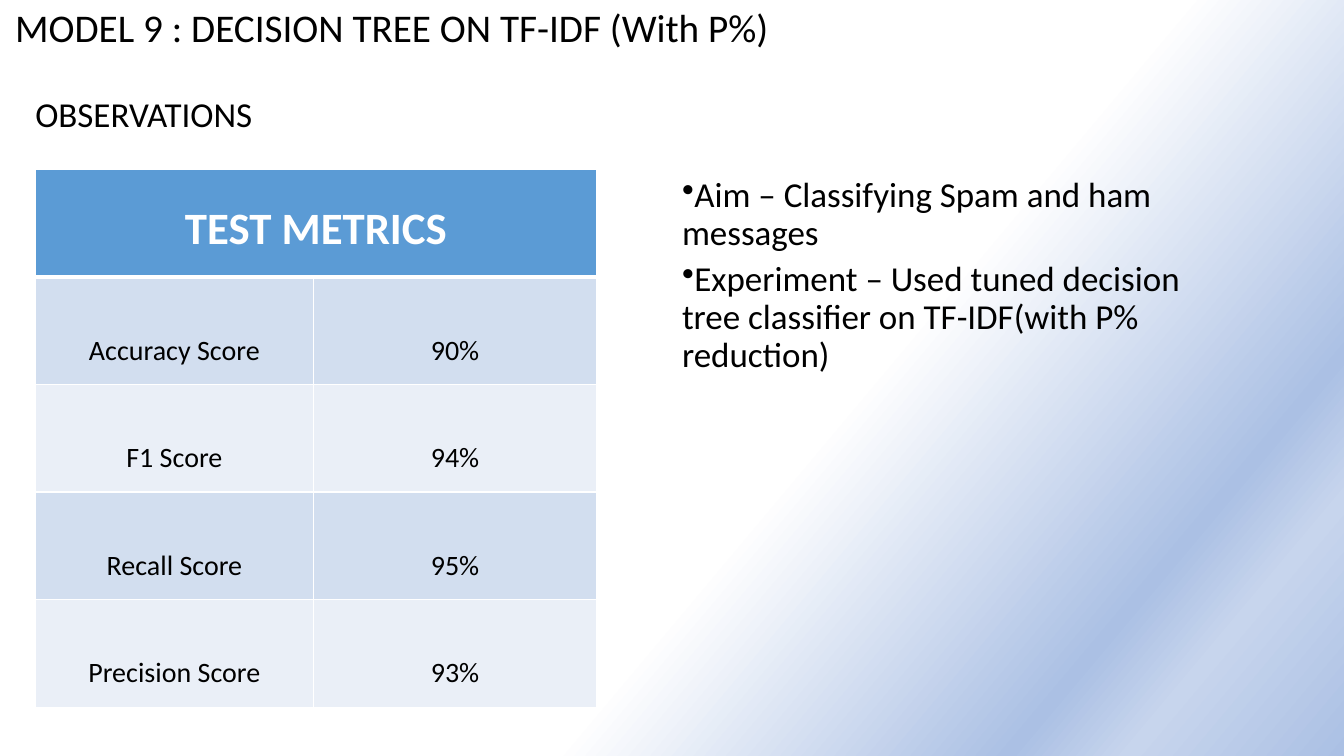
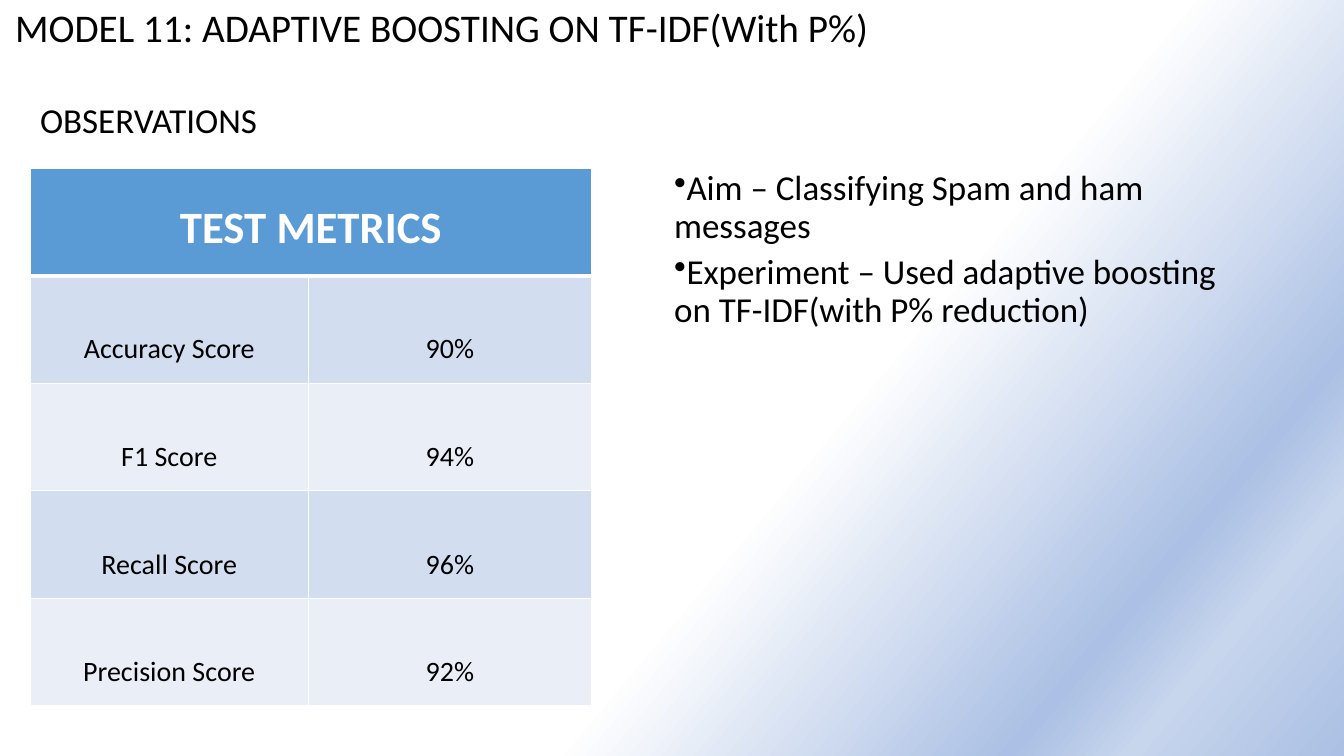
"""Build two slides reporting the test metrics of spam classifiers."""
from dataclasses import dataclass

from lxml.etree import SubElement
from pptx import Presentation
from pptx.dml.color import RGBColor
from pptx.enum.text import MSO_ANCHOR as Anchor, MSO_AUTO_SIZE as AutoSize, PP_ALIGN as Align
from pptx.oxml.ns import qn
from pptx.util import Cm, Pt

METRICS = ("Accuracy Score", "F1 Score", "Recall Score", "Precision Score")
AIM = "Aim – Classifying Spam and ham messages"

SLIDES = [
    {
        "title": "MODEL 9 : DECISION TREE ON TF-IDF (With P%)",
        "scores": ("90%", "94%", "95%", "93%"),
        "notes": [AIM, "Experiment – Used tuned decision tree classifier on TF-IDF(with P% reduction)"],
        "heading_at": (0.64, 1.96),
        "table_at": (0.89, 4.27),
        "notes_at": (16.94, 2.92),
    },
    {
        "title": "MODEL 11: ADAPTIVE BOOSTING ON TF-IDF(With P%)",
        "scores": ("90%", "94%", "96%", "92%"),
        "notes": [AIM, "Experiment – Used adaptive boosting on TF-IDF(with P% reduction)"],
        "heading_at": (0.76, 2.11),
        "table_at": (0.76, 4.24),
        "notes_at": (16.74, 2.26),
    },
]

SLIDE_SIZE = (33.87, 19.05)
TITLE_BOX = (0.13, 0.1, 33.65, 1.5)
HEADING_SIZE = (7.11, 1.93)
NOTES_SIZE = (14.45, 8.08)
COLUMN_WIDTHS = (7.01, 7.14)
ROW_HEIGHT = 2.71


@dataclass(frozen=True)
class Theme:
    """Hold the colours, font and type sizes."""
    font: str = "Calibri"
    text: str = "000000"
    light: str = "FFFFFF"
    header: str = "5B9BD5"
    bands: tuple = ("D2DEEF", "EAEFF7")
    gradient: tuple = ((60, "FFFFFF"), (83, "ABC0E4"), (89, "C7D5ED"), (100, "ABC0E4"))
    gradient_angle: int = 40
    title_size: int = 28
    body_size: int = 25
    header_size: int = 32
    cell_size: int = 20
    border: int = 1
    header_border: int = 3


THEME = Theme()


def write(frame, lines, *, size, color=THEME.text, bold=False, align=Align.LEFT,
          spacing=0.9, after=0, anchor=Anchor.TOP, bullet=None):
    """Fill a text frame with formatted paragraphs."""
    frame.word_wrap = True
    frame.vertical_anchor = anchor
    for index, line in enumerate(lines):
        paragraph = frame.add_paragraph() if index else frame.paragraphs[0]
        paragraph.alignment = align
        paragraph.line_spacing = spacing
        paragraph.space_before = Pt(0)
        paragraph.space_after = Pt(after)
        if bullet:
            properties = paragraph._p.get_or_add_pPr()
            properties.set("marL", "0")
            properties.set("indent", str(-Cm(0.64)))
            SubElement(properties, qn("a:buChar"), char=bullet)
        run = paragraph.add_run()
        run.text = line
        font = run.font
        font.name, font.size, font.bold = THEME.font, Pt(size), bold
        font.color.rgb = RGBColor.from_string(color)


def paint_background(master):
    """Give the slide master the diagonal gradient."""
    fill = master.background.fill
    fill.gradient()
    fill.gradient_angle = 360 - THEME.gradient_angle
    stops = next(master.element.iter(qn("a:gsLst")))
    for stop in list(stops):
        stops.remove(stop)
    for position, color in THEME.gradient:
        stop = SubElement(stops, qn("a:gs"), pos=str(position * 1000))
        SubElement(stop, qn("a:srgbClr"), val=color)


def add_text(slide, position, extent, lines, **text_format):
    """Add a text box at a position."""
    box = slide.shapes.add_textbox(*map(Cm, position + extent))
    write(box.text_frame, lines, **text_format)


def style_cell(cell, fill, top, bottom):
    """Set the borders and fill of a table cell."""
    properties = cell._tc.get_or_add_tcPr()
    widths = {"L": THEME.border, "R": THEME.border, "T": top, "B": bottom}
    for side, width in widths.items():
        line = SubElement(properties, qn(f"a:ln{side}"), w=str(Pt(width)))
        SubElement(SubElement(line, qn("a:solidFill")), qn("a:srgbClr"), val=THEME.light)
    cell.fill.solid()
    cell.fill.fore_color.rgb = RGBColor.from_string(fill)


def add_metrics(slide, position, scores):
    """Add the table of metrics under a merged header."""
    row_count = len(METRICS) + 1
    extent = (sum(COLUMN_WIDTHS), ROW_HEIGHT * row_count)
    table = slide.shapes.add_table(row_count, len(COLUMN_WIDTHS), *map(Cm, position + extent)).table
    table.horz_banding = False
    for column, width in zip(table.columns, COLUMN_WIDTHS):
        column.width = Cm(width)
    header = table.cell(0, 0)
    header.merge(table.cell(0, 1))
    write(header.text_frame, ["TEST METRICS"], size=THEME.header_size, color=THEME.light,
          bold=True, align=Align.CENTER, spacing=1.5)
    for index, row in enumerate(table.rows):
        row.height = Cm(ROW_HEIGHT)
        fill = THEME.bands[(index - 1) % 2] if index else THEME.header
        top = THEME.header_border if index == 1 else THEME.border
        bottom = THEME.border if index else THEME.header_border
        for cell in row.cells:
            style_cell(cell, fill, top, bottom)
    for index, entries in enumerate(zip(METRICS, scores), start=1):
        for column, entry in enumerate(entries):
            write(table.cell(index, column).text_frame, [entry], size=THEME.cell_size,
                  align=Align.CENTER, spacing=2.5)


def add_model_slide(presentation, content):
    """Add the slide of one model."""
    slide = presentation.slides.add_slide(presentation.slide_layouts[5])
    title = slide.shapes.title
    title.left, title.top, title.width, title.height = map(Cm, TITLE_BOX)
    title.text_frame.auto_size = AutoSize.NONE
    write(title.text_frame, [content["title"]], size=THEME.title_size)
    add_metrics(slide, content["table_at"], content["scores"])
    body = {"size": THEME.body_size, "after": 6, "anchor": Anchor.MIDDLE}
    add_text(slide, content["notes_at"], NOTES_SIZE, content["notes"], bullet="•", **body)
    add_text(slide, content["heading_at"], HEADING_SIZE, ["OBSERVATIONS"], **body)


def main():
    """Build and save the presentation."""
    presentation = Presentation()
    presentation.slide_width, presentation.slide_height = map(Cm, SLIDE_SIZE)
    paint_background(presentation.slide_master)
    for content in SLIDES:
        add_model_slide(presentation, content)
    presentation.save("out.pptx")


if __name__ == "__main__":
    main()
